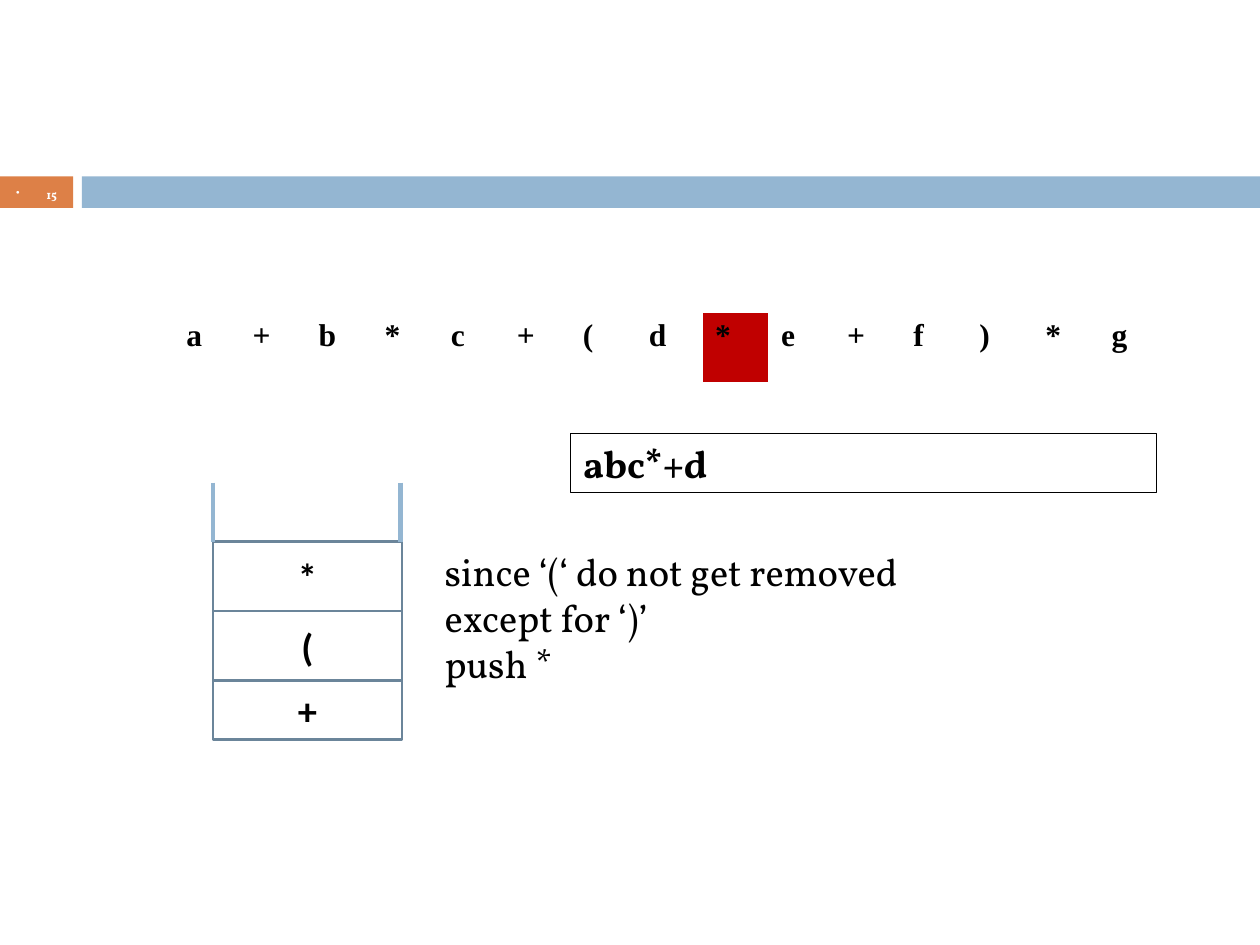
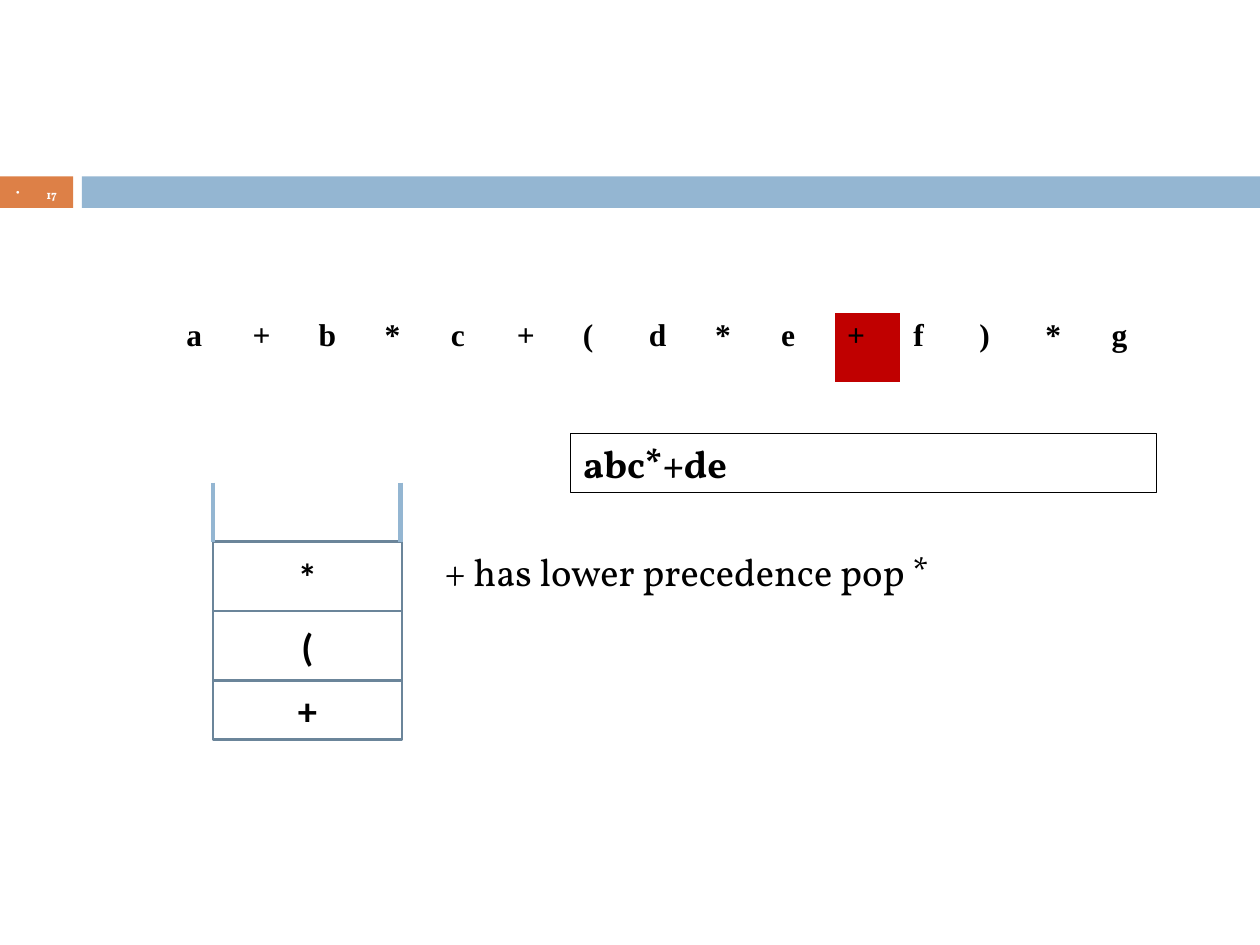
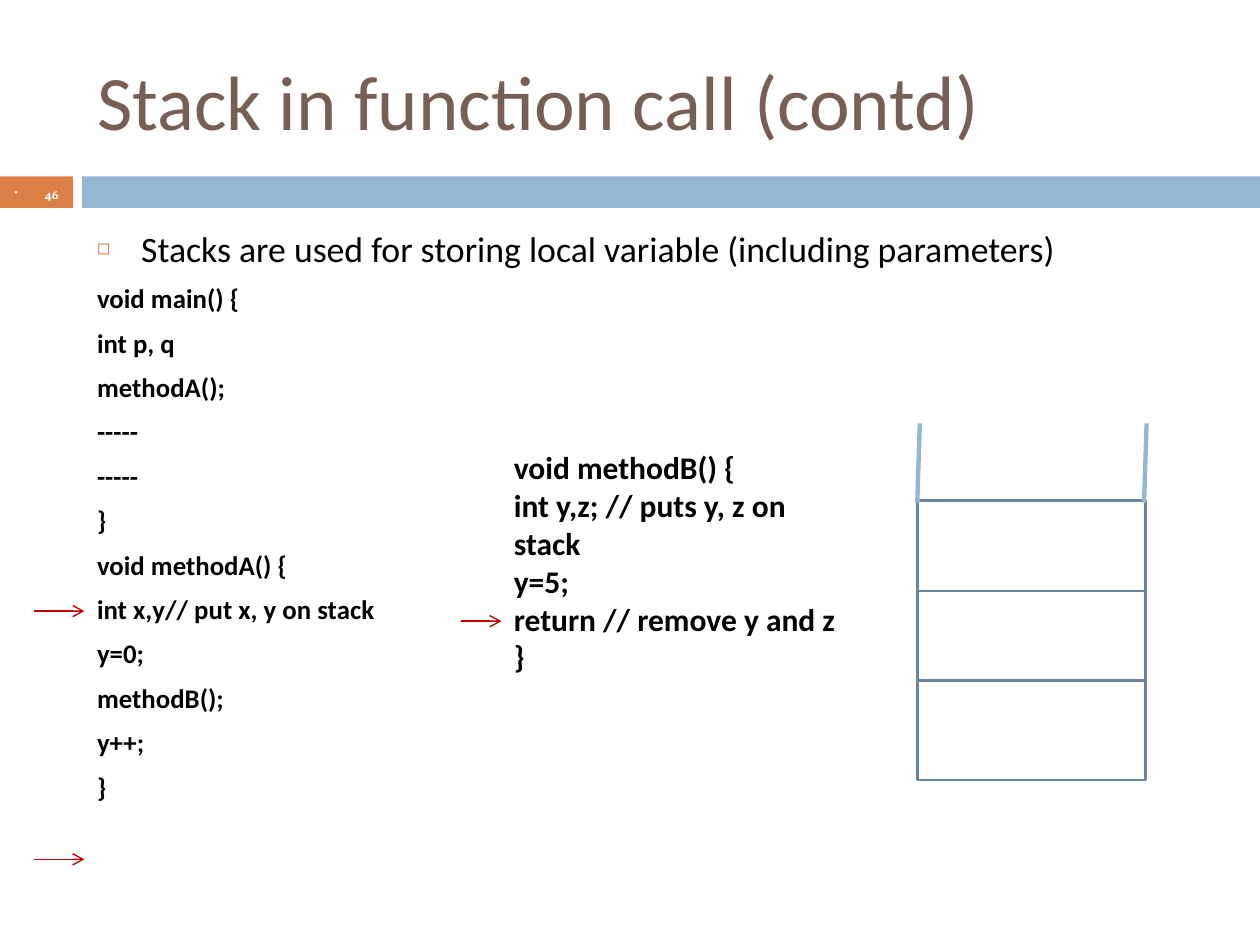
from lxml import etree
from pptx import Presentation
from pptx import util as u
from pptx.dml import color
from pptx.enum import shapes, text
from pptx.oxml import ns

COLUMNS, ROWS = 100, 75
WIDTH, HEIGHT = u.Inches(10), u.Inches(7.5)
BLACK, WHITE, RED = "000000", "FFFFFF", "C00000"
ORANGE, BLUE, SLATE, BROWN = "DD8047", "94B6D2", "6B859A", "775F55"
SERIF, SANS, TIMES = "Vollkorn", "Calibri", "Times New Roman"
LEFT, CENTER = text.PP_ALIGN.LEFT, text.PP_ALIGN.CENTER
TOP, MIDDLE = text.MSO_ANCHOR.TOP, text.MSO_ANCHOR.MIDDLE

EXPRESSION = "a+b*c+(d*e+f)*g"
MAIN_AND_METHOD_A = [
    "void main() {", "int p, q", "methodA();", "-----", "-----", "}",
    "void methodA() {", "int x,y// put x, y on stack", "y=0;", "methodB();", "y++;", "}",
]
METHOD_B = ["void methodB() {", "int y,z; // puts y, z on stack", "y=5;",
            "return // remove y and z", "}"]


def rgb(value):
    """Turn a hex string into a colour."""
    return color.RGBColor.from_string(value)


def child(parent, tag, **attributes):
    """Append a drawing element to its parent."""
    return etree.SubElement(parent, ns.qn(tag), attributes)


def across(columns):
    """Turn grid columns into a length."""
    return round(columns * WIDTH / COLUMNS)


def down(rows):
    """Turn grid rows into a length."""
    return round(rows * HEIGHT / ROWS)


def area(left, top, width, height):
    """Turn a grid rectangle into lengths."""
    return across(left), down(top), across(width), down(height)


class Lecture:
    """Holds the style of the deck and the slide being drawn."""

    def __init__(self):
        """Start an empty deck."""
        self.deck = Presentation()
        self.deck.slide_width, self.deck.slide_height = WIDTH, HEIGHT
        self.page = None

    def new_page(self, number, layout):
        """Add a slide with the shared bands and its number."""
        self.page = self.deck.slides.add_slide(self.deck.slide_layouts[layout])
        self.box((0, 14, 5.8, 2.5), ORANGE)
        self.box((6.5, 14, 93.5, 2.5), BLUE)
        label = self.label((0, 13.9, 5.8, 2.7), [str(number)], 7, bold=True,
                           align=CENTER, anchor=MIDDLE)
        para = label.text_frame.paragraphs[0]
        para.line_spacing = 1.3
        self.bullet(para, 2.4, "•", WHITE, 85)
        para.runs[0].font.color.rgb = rgb(WHITE)

    def bullet(self, para, indent, sign=None, tint=BLACK, percent=100):
        """Give a paragraph a hanging indent and a bullet or none."""
        properties = para._p.get_or_add_pPr()
        properties.set("marL", str(across(indent)))
        properties.set("indent", str(-across(indent)))
        if sign is None:
            child(properties, "a:buNone")
            return
        child(child(properties, "a:buClr"), "a:srgbClr", val=tint)
        child(properties, "a:buSzPct", val=str(percent * 1000))
        child(properties, "a:buChar", char=sign)

    def style(self, para, size, face, tint=BLACK, bold=False, align=LEFT):
        """Format a paragraph and its runs."""
        para.alignment = align
        for span in para.runs:
            span.font.size, span.font.name, span.font.bold = u.Pt(size), face, bold
            span.font.color.rgb = rgb(tint)

    def fill_text(self, holder, lines, size, face, anchor=TOP, **look):
        """Write lines into a shape or text box."""
        frame = holder.text_frame
        frame.text = "\n".join(lines)
        frame.word_wrap, frame.vertical_anchor = True, anchor
        for para in frame.paragraphs:
            self.style(para, size, face, **look)

    def box(self, place, fill, line=None, weight=1.5):
        """Draw a filled rectangle."""
        box = self.page.shapes.add_shape(shapes.MSO_SHAPE.RECTANGLE, *area(*place))
        box.shadow.inherit = False
        box.fill.solid()
        box.fill.fore_color.rgb = rgb(fill)
        if line:
            box.line.color.rgb, box.line.width = rgb(line), u.Pt(weight)
        else:
            box.line.fill.background()
        return box

    def label(self, place, lines, size, face=SERIF, **look):
        """Add a wrapped text box."""
        label = self.page.shapes.add_textbox(*area(*place))
        self.fill_text(label, lines, size, face, **look)
        return label

    def line(self, start, end, tint, weight, arrow=False):
        """Draw a straight line, with an arrowhead if wanted."""
        line = self.page.shapes.add_connector(
            shapes.MSO_CONNECTOR.STRAIGHT, across(start[0]), down(start[1]),
            across(end[0]), down(end[1]))
        line.line.color.rgb, line.line.width = rgb(tint), u.Pt(weight)
        if arrow:
            child(line.line._ln, "a:tailEnd", type="arrow")
        child(line._element.spPr, "a:effectLst")

    def arrow(self, left, right, row):
        """Point at a line of code."""
        self.line((left, row), (right, row), RED, 0.79, arrow=True)

    def stack(self, left, width, edges, wall_top, lean=0, wall_end=None, items=()):
        """Draw an open stack whose cells lie between the row edges."""
        cells = list(zip(edges, edges[1:]))
        for index in reversed(range(len(cells))):
            top, bottom = cells[index]
            cell = self.box((left, top, width, bottom - top), WHITE, SLATE)
            if items:
                self.fill_text(cell, [items[index]], 22, SANS, MIDDLE, bold=True, align=CENTER)
        for foot in (left, left + width - 0.1):
            self.line((foot + lean, wall_top), (foot, wall_end or edges[0]), BLUE, 2.5)

    def tokens(self, current):
        """Lay the expression out in a table and mark the current token."""
        count = len(EXPRESSION)
        table = self.page.shapes.add_table(1, count, *area(13.8, 24.8, 78.7, 5.6)).table
        table.first_row = table.horz_banding = False
        for index, token in enumerate(EXPRESSION):
            table.columns[index].width = across(78.7 / count)
            cell = table.cell(0, index)
            cell.text = token
            self.style(cell.text_frame.paragraphs[0], 18, TIMES, bold=True)
            properties = cell._tc.get_or_add_tcPr()
            for side, weight in zip("LRTB", (0.45, 0.45, 0.45, 1.47)):
                edge = child(properties, f"a:ln{side}", w=str(u.Pt(weight)))
                child(child(edge, "a:solidFill"), "a:srgbClr", val=WHITE)
            cell.fill.solid()
            cell.fill.fore_color.rgb = rgb(RED if index == current else WHITE)

    def title(self, wording):
        """Fill the title placeholder."""
        title = self.page.shapes.title
        title.left, title.top, title.width, title.height = area(6.7, 2.5, 89.2, 10.8)
        self.fill_text(title, [wording], 44, SANS, MIDDLE, tint=BROWN)

    def body(self, heading, code):
        """Fill the body placeholder with a bullet and lines of code."""
        body = self.page.placeholders[1]
        body.left, body.top, body.width, body.height = area(6.7, 17.5, 89.2, 49.2)
        self.fill_text(body, [heading] + code, 15.3, SANS, bold=True)
        body.text_frame.auto_size = text.MSO_AUTO_SIZE.NONE
        first, *others = body.text_frame.paragraphs
        first.space_before = u.Pt(0)
        self.bullet(first, 3.5, "◻", ORANGE, 60)
        self.style(first, 20.4, SANS)
        for para in others:
            para.space_before = u.Pt(7)
            self.bullet(para, 3.5)

    def conversion_page(self, number, current, output, remarks, height):
        """Show one step of turning infix into postfix."""
        self.new_page(number, 6)
        self.tokens(current)
        self.stack(16.9, 15, (43, 48.5, 54, 58.7), 38.3, items="*(+")
        result = self.box((45.3, 34.4, 46.5, 4.7), WHITE, BLACK, 0.75)
        self.fill_text(result, [output], 22, SERIF, bold=True)
        self.label((34.3, 43, 44.9, height), remarks, 22)

    def call_page(self, number):
        """Show how function calls use the stack."""
        self.new_page(number, 1)
        self.title("Stack in function call (contd)")
        self.body("Stacks are used for storing local variable (including parameters)",
                  MAIN_AND_METHOD_A)
        self.label((39.8, 35.1, 28.4, 25), METHOD_B, 18, SANS, bold=True)
        self.stack(72.8, 18.1, (39.7, 46.9, 54, 61.9), 33.6, lean=0.2, wall_end=39.9)
        self.arrow(36.6, 39.8, 49.3)
        for row in (68.2, 48.5):
            self.arrow(2.7, 6.7, row)


def main():
    """Build and save the deck."""
    lecture = Lecture()
    lecture.conversion_page(
        15, 8, "abc*+d", ["since ‘(‘ do not get removed except for ‘)’", "push *"], 15.7)
    lecture.conversion_page(17, 10, "abc*+de", ["+ has lower precedence pop *"], 8.4)
    lecture.call_page(46)
    lecture.deck.save("out.pptx")


if __name__ == "__main__":
    main()
